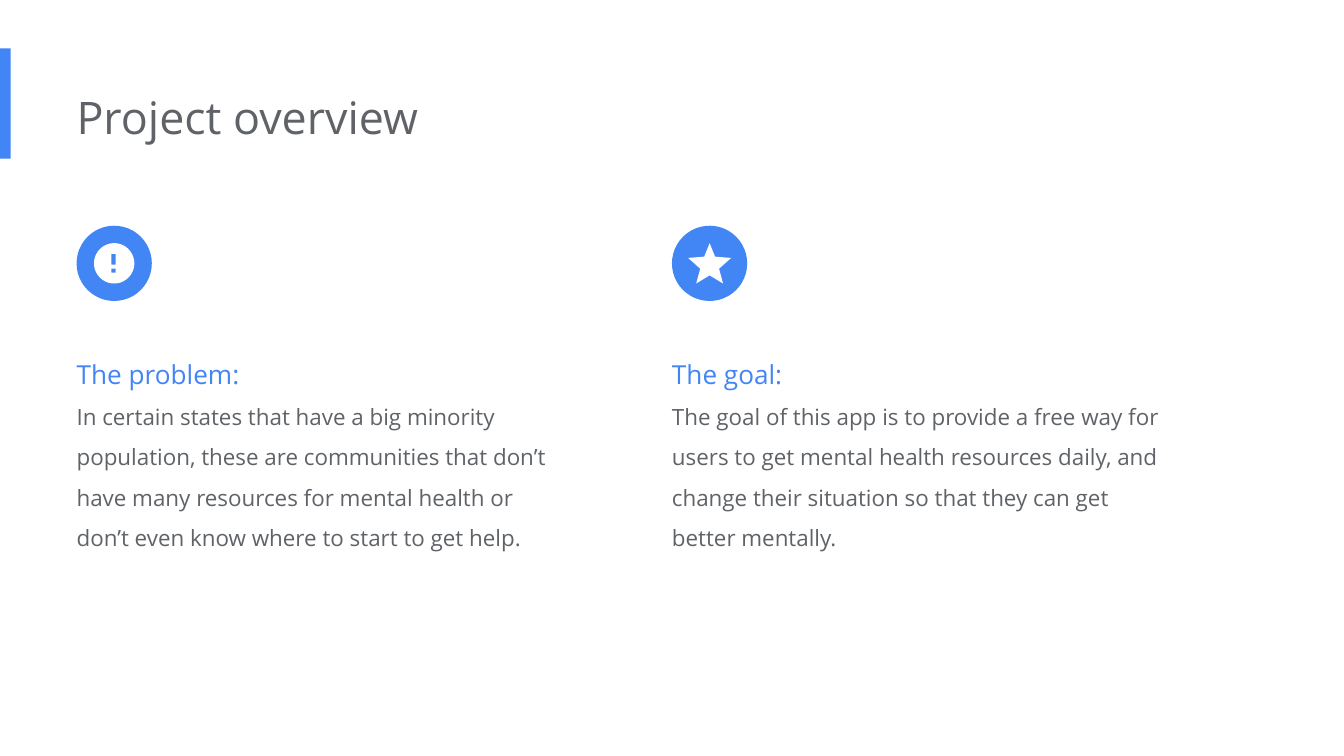
import math

import pptx
import pptx.dml.color
import pptx.enum.shapes
import pptx.enum.text
import pptx.util

Inches = pptx.util.Inches
Pt = pptx.util.Pt
SHAPES = pptx.enum.shapes.MSO_SHAPE

BLUE = pptx.dml.color.RGBColor(0x42, 0x85, 0xF4)
GRAY = pptx.dml.color.RGBColor(0x5F, 0x63, 0x68)
WHITE = pptx.dml.color.RGBColor(0xFF, 0xFF, 0xFF)


class SlideWriter:
    font_name = "Open Sans"
    frame_format = {
        "word_wrap": True,
        "auto_size": pptx.enum.text.MSO_AUTO_SIZE.SHAPE_TO_FIT_TEXT,
        "margin_left": 0,
        "margin_top": Inches(0.1),
        "margin_right": Inches(0.1),
        "margin_bottom": Inches(0.1),
    }

    def __init__(self, slide):
        self.slide = slide

    def paint(self, shape, color):
        shape.fill.solid()
        shape.fill.fore_color.rgb = color
        shape.line.fill.background()
        shape.shadow.inherit = False

    def preset(self, kind, left, top, width, height, color):
        box = [Inches(length) for length in (left, top, width, height)]
        self.paint(self.slide.shapes.add_shape(kind, *box), color)

    def outline(self, contours, color):
        rings = [[(Inches(x), Inches(y)) for x, y in ring] for ring in contours]
        builder = self.slide.shapes.build_freeform(*rings[0][0], scale=1.0)
        for index, ring in enumerate(rings):
            if index:
                builder.move_to(*ring[0])
            builder.add_line_segments(ring[1:], close=True)
        self.paint(builder.convert_to_shape(), color)

    def text(self, left, top, width, height, lines, line_spacing=1.0):
        box = [Inches(length) for length in (left, top, width, height)]
        frame = self.slide.shapes.add_textbox(*box).text_frame
        for name, value in self.frame_format.items():
            setattr(frame, name, value)
        for index, (wording, size, color) in enumerate(lines):
            paragraph = frame.add_paragraph() if index else frame.paragraphs[0]
            paragraph.line_spacing = line_spacing
            run = paragraph.add_run()
            run.text = wording
            run_format = {"name": self.font_name, "size": Pt(size)}
            for name, value in run_format.items():
                setattr(run.font, name, value)
            run.font.color.rgb = color

    def topic(self, left, heading, body):
        self.preset(SHAPES.OVAL, left, 1.68, 0.56, 0.56, BLUE)
        lines = [(heading, 14, BLUE), (body, 12, GRAY)]
        self.text(left, 2.45, 3.77, 1.77, lines, line_spacing=1.5)

    def alert_icon(self):
        center_x, center_y, radius, steps = 0.85, 1.96, 0.15, 72
        angles = [math.tau * step / steps for step in range(steps)]
        disc = [(center_x + radius * math.cos(angle),
                 center_y + radius * math.sin(angle)) for angle in angles]
        bar, dot = [
            [(0.86, top), (0.86, bottom), (0.83, bottom), (0.83, top)]
            for top, bottom in ((1.89, 1.97), (2, 2.03))
        ]
        self.outline([bar, dot, disc], WHITE)

    def star_icon(self):
        center = 5.28
        right_half = [(0, 1.81), (0.04, 1.91), (0.16, 1.92),
                      (0.07, 2), (0.1, 2.11), (0, 2.05)]
        right = [(center + x, y) for x, y in right_half]
        left = [(center - x, y) for x, y in right_half[-2:0:-1]]
        self.outline([right + left], WHITE)


def main():
    deck = pptx.Presentation()
    deck.slide_width = Inches(10)
    deck.slide_height = deck.slide_width * 9 // 16
    writer = SlideWriter(deck.slides.add_slide(deck.slide_layouts[6]))

    writer.preset(SHAPES.RECTANGLE, 0, 0.36, 0.08, 0.82, BLUE)
    writer.text(0.57, 0.57, 6.73, 0.61, [("Project overview", 24, GRAY)])
    writer.topic(
        0.57,
        "The problem:",
        "In certain states that have a big minority population, these are "
        "communities that don’t have many resources for mental health or "
        "don’t even know where to start to get help.",
    )
    writer.alert_icon()
    writer.topic(
        5,
        "The goal:",
        "The goal of this app is to provide a free way for users to get "
        "mental health resources daily, and change their situation so that "
        "they can get better mentally.",
    )
    writer.star_icon()
    deck.save("out.pptx")


if __name__ == "__main__":
    main()
